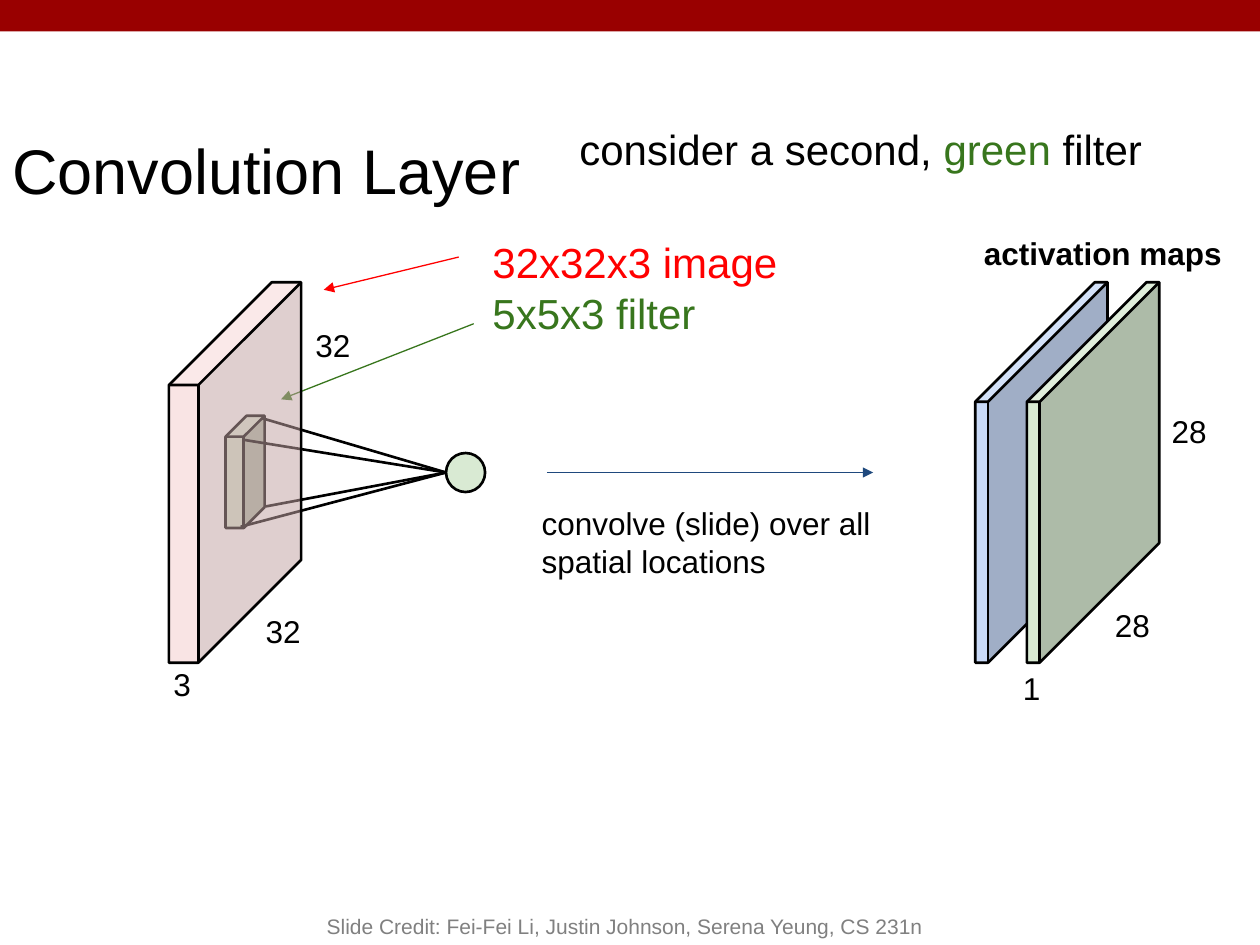
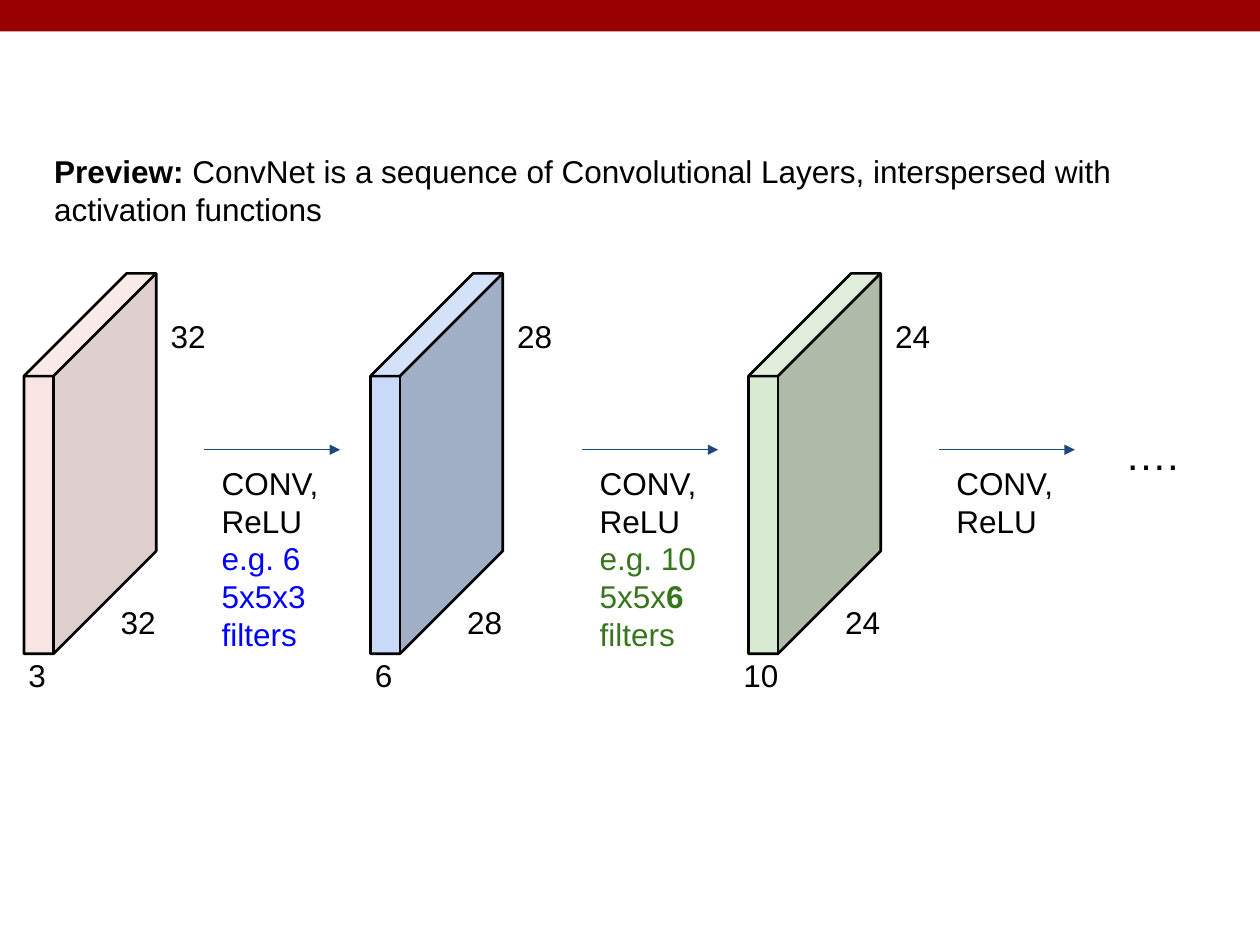
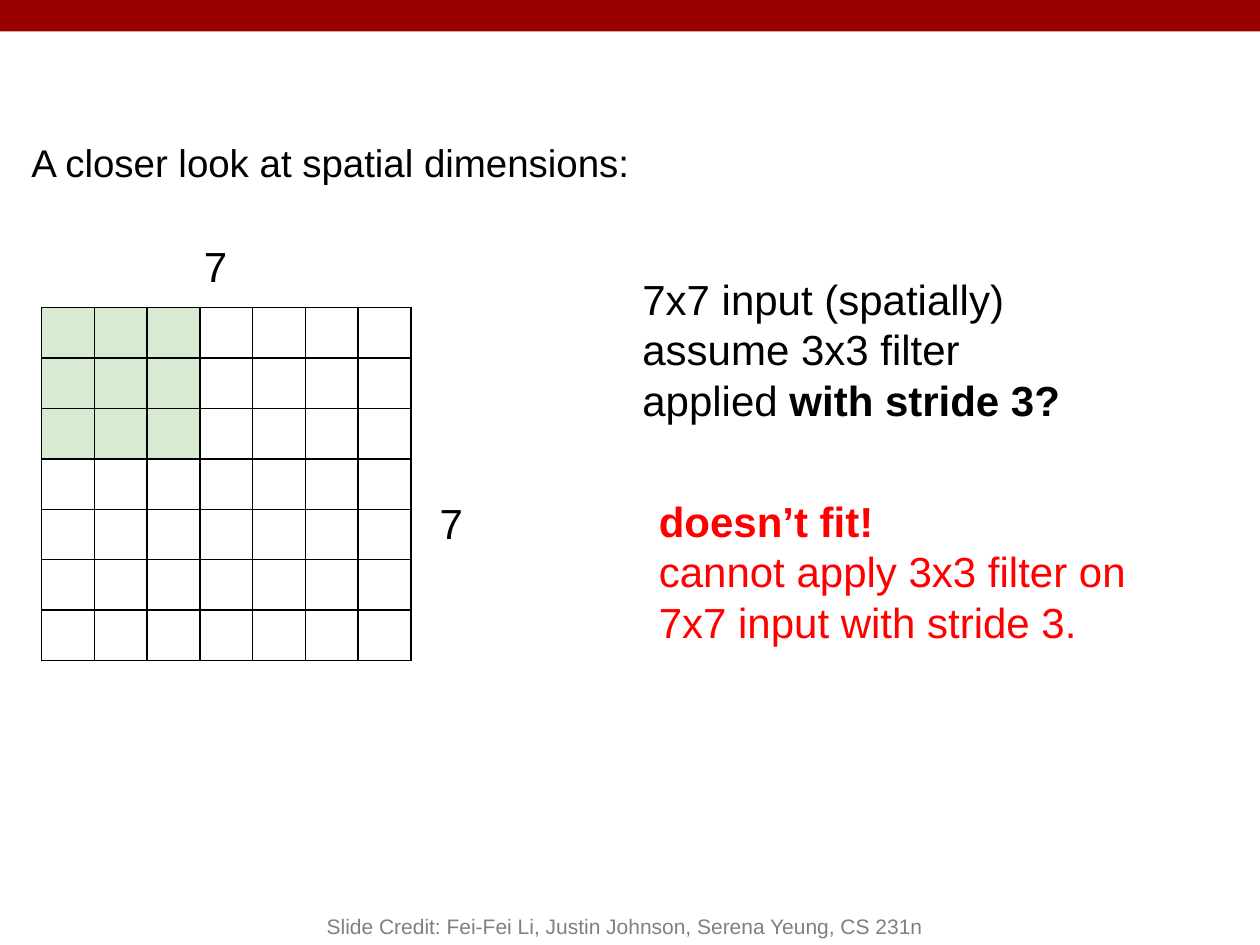
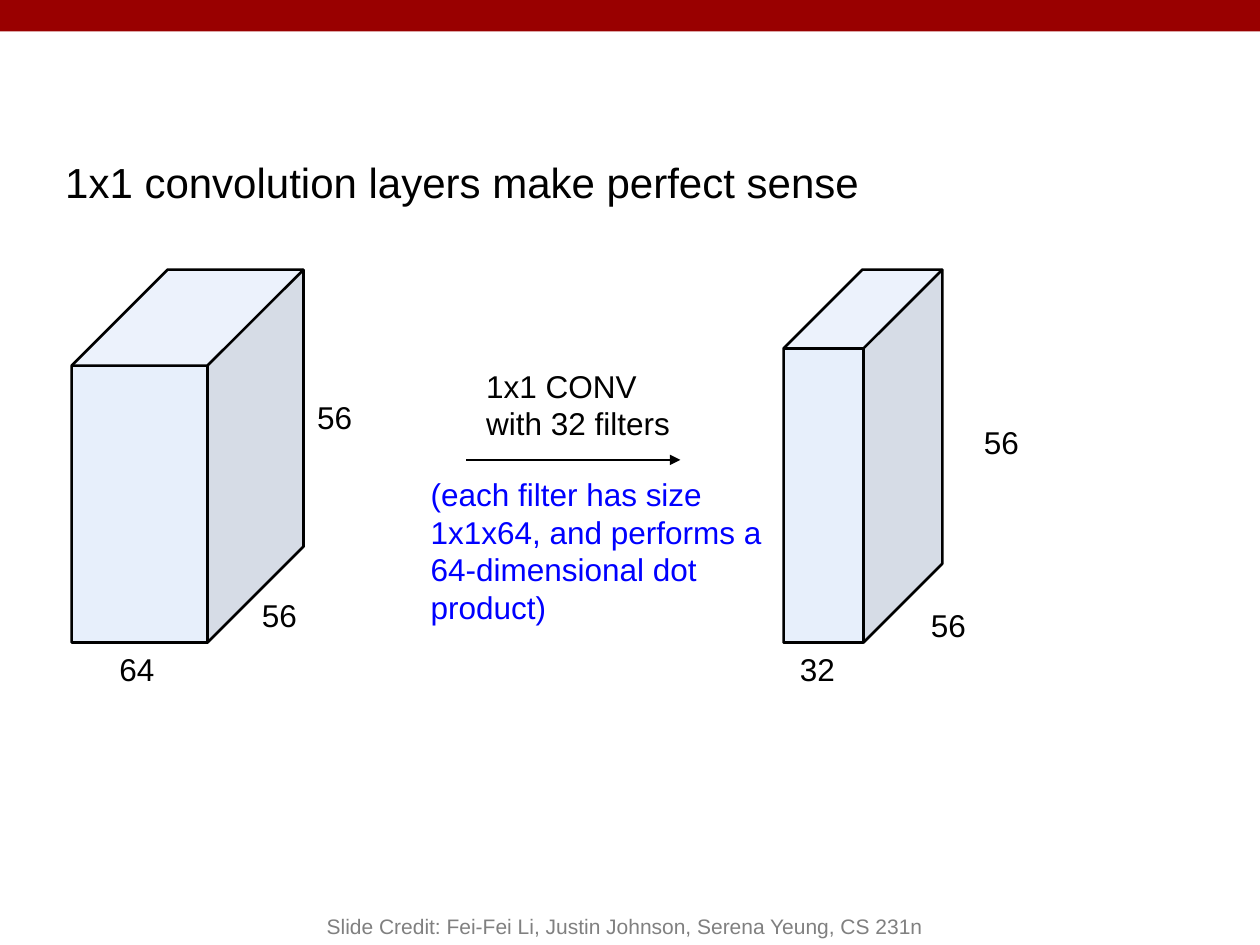
from dataclasses import dataclass

from lxml import etree
from pptx import Presentation
from pptx.dml.color import RGBColor
from pptx.enum.shapes import MSO_CONNECTOR, MSO_SHAPE
from pptx.enum.text import MSO_ANCHOR, PP_ALIGN
from pptx.oxml.ns import qn
from pptx.util import Pt

CUBE = MSO_SHAPE.CUBE
OVAL = MSO_SHAPE.OVAL
RECTANGLE = MSO_SHAPE.RECTANGLE
STRAIGHT = MSO_CONNECTOR.STRAIGHT
TOP = MSO_ANCHOR.TOP
BOTTOM = MSO_ANCHOR.BOTTOM
LEFT = PP_ALIGN.LEFT
CENTER = PP_ALIGN.CENTER


@dataclass(frozen=True)
class Theme:
    font: str = "Arial"
    band: str = "990000"
    black: str = "000000"
    white: str = "FFFFFF"
    gray: str = "808080"
    red: str = "FF0000"
    green: str = "38761D"
    blue: str = "0000FF"
    arrow: str = "1F497D"
    pink_fill: str = "F4CCCC"
    blue_fill: str = "C9DAF8"
    green_fill: str = "D9EAD3"
    title_size: float = 36
    large_size: float = 24
    heading_size: float = 22
    body_size: float = 18
    credit_size: float = 12
    outline: float = 1.5
    thin: float = 0.75
    grid: float = 1


@dataclass(frozen=True)
class Span:
    """A stretch of text that differs from its paragraph."""
    text: str
    color: str = ""
    bold: bool = False


THEME = Theme()
SLIDE_WIDTH, SLIDE_HEIGHT = 720, 540
BAND_HEIGHT = 18
INSET = 7.2
LABEL_WIDTH, LABEL_HEIGHT = 38.9, 24
VOLUME_WIDTH, VOLUME_HEIGHT = 75.6, 217.4
VOLUME_TOP = 156.2
BLOCK_TOP, BLOCK_HEIGHT = 154.1, 213.1
CREDIT = "Slide Credit: Fei-Fei Li, Justin Johnson, Serena Yeung, CS 231n"


def rgb(color):
    return RGBColor.from_string(color)


def add_text(slide, left, top, width, height, paragraphs, size=THEME.body_size,
             color=THEME.black, bold=False, align=LEFT, anchor=TOP, inset=INSET):
    """Add a text box; each paragraph is a string or a list of strings and Spans."""
    box = slide.shapes.add_textbox(Pt(left), Pt(top), Pt(width), Pt(height))
    frame = box.text_frame
    frame.word_wrap = True
    frame.vertical_anchor = anchor
    frame.margin_left = frame.margin_right = Pt(INSET)
    frame.margin_top = frame.margin_bottom = Pt(inset)
    for index, content in enumerate(paragraphs):
        paragraph = frame.paragraphs[0] if index == 0 else frame.add_paragraph()
        paragraph.alignment = align
        font = paragraph.font
        font.name, font.size, font.bold = THEME.font, Pt(size), bold
        font.color.rgb = rgb(color)
        for part in [content] if isinstance(content, (str, Span)) else content:
            span = part if isinstance(part, Span) else Span(part)
            run = paragraph.add_run()
            run.text = span.text
            if span.color:
                run.font.color.rgb = rgb(span.color)
            if span.bold:
                run.font.bold = True


def add_label(slide, left, top, text, width=LABEL_WIDTH):
    add_text(slide, left, top, width, LABEL_HEIGHT, [text])


def add_credit(slide):
    add_text(slide, 144, 504, 426.2, 36, [CREDIT], THEME.credit_size, THEME.gray,
             align=CENTER, anchor=BOTTOM, inset=3.6)


def add_solid(slide, kind, left, top, width, height, fill, opacity=100):
    """Add an outlined preset shape, see-through when opacity is below 100 percent."""
    shape = slide.shapes.add_shape(kind, Pt(left), Pt(top), Pt(width), Pt(height))
    shape.shadow.inherit = False
    shape.fill.solid()
    shape.fill.fore_color.rgb = rgb(fill)
    shape.line.color.rgb = rgb(THEME.black)
    shape.line.width = Pt(THEME.outline)
    if opacity < 100:
        color = shape.element.xpath("./p:spPr/a:solidFill/a:srgbClr")[0]
        etree.SubElement(color, qn("a:alpha"), val=str(opacity * 1000))
    return shape


def add_cube(slide, left, top, width, height, depth, fill, opacity=100):
    cube = add_solid(slide, CUBE, left, top, width, height, fill, opacity)
    cube.adjustments[0] = depth


def add_volume(slide, left, top, side, channels, fill, opacity=100, channel_shift=-4.5):
    """Add a layer's cube with its two side lengths and its channel count."""
    add_cube(slide, left, top, VOLUME_WIDTH, VOLUME_HEIGHT, 0.777, fill, opacity)
    add_label(slide, left + 48.2, top + 181, side)
    add_label(slide, left + 76.7, top + 18, side)
    add_label(slide, left + channel_shift, top + 211.7, channels)


def add_line(slide, start, end, color=THEME.black, width=THEME.outline):
    line = slide.shapes.add_connector(STRAIGHT, *(Pt(value) for value in (*start, *end)))
    line.line.color.rgb = rgb(color)
    line.line.width = Pt(width)
    etree.SubElement(line.element.spPr, qn("a:effectLst"))
    return line


def add_arrow(slide, start, end, color=THEME.arrow):
    arrow = add_line(slide, start, end, color, THEME.thin)
    outline = arrow.element.spPr.find(qn("a:ln"))
    etree.SubElement(outline, qn("a:tailEnd"), type="triangle")


def set_borders(cell):
    properties = cell._tc.get_or_add_tcPr()
    for side in ("lnL", "lnR", "lnT", "lnB"):
        border = etree.SubElement(properties, qn(f"a:{side}"), w=str(Pt(THEME.grid)))
        fill = etree.SubElement(border, qn("a:solidFill"))
        etree.SubElement(fill, qn("a:srgbClr"), val=THEME.black)


def add_input_grid(slide, left, top, count, filter_count):
    """Add a square grid of cells with the filter's area tinted in its corner."""
    column_width, row_height = 30.14, 27.86
    frame = slide.shapes.add_table(count, count, Pt(left), Pt(top),
                                   Pt(count * column_width), Pt(count * row_height))
    table = frame.table
    table.first_row = table.horz_banding = False
    for column in table.columns:
        column.width = Pt(column_width)
    for row_index, row in enumerate(table.rows):
        row.height = Pt(row_height)
        for column_index, cell in enumerate(row.cells):
            set_borders(cell)
            covered = max(row_index, column_index) < filter_count
            cell.fill.solid()
            cell.fill.fore_color.rgb = rgb(THEME.green_fill if covered else THEME.white)


def add_master_band(presentation, slide):
    """Draw the top band on a slide, then move it to the master behind everything."""
    band = slide.shapes.add_shape(RECTANGLE, 0, 0, Pt(SLIDE_WIDTH), Pt(BAND_HEIGHT))
    band.shadow.inherit = False
    band.fill.solid()
    band.fill.fore_color.rgb = rgb(THEME.band)
    band.line.fill.background()
    band.element.xpath("./p:nvSpPr/p:cNvPr")[0].set("id", "100")
    presentation.slide_master.shapes.element.insert(2, band.element)


def build_second_filter(slide):
    neuron_left, neuron_size, middle = 254.9, 22.3, 270
    map_top = 161.3
    add_cube(slide, 557.3, map_top, VOLUME_WIDTH, VOLUME_HEIGHT, 0.904, THEME.blue_fill)
    add_cube(slide, 128.9, 237.6, 22.3, 64.1, 0.534, THEME.green_fill)
    add_solid(slide, OVAL, neuron_left, middle - neuron_size / 2,
              neuron_size, neuron_size, THEME.green_fill)
    for corner in ((137.5, 301), (139, 251.3), (149.8, 239), (151.9, 289.4)):
        add_line(slide, corner, (neuron_left, middle))
    add_text(slide, 274.3, 128.2, 286.6, 43.2,
             [Span("32x32x3 image", THEME.red), Span("5x5x3 filter", THEME.green)],
             THEME.large_size)
    add_arrow(slide, (262.1, 146.9), (185, 165.6), THEME.red)
    add_arrow(slide, (270.7, 185), (160.6, 228.2), THEME.green)
    add_arrow(slide, (312.5, middle), (499, middle))
    add_text(slide, 302.4, 280.8, 257.8, 64.1,
             ["convolve (slide) over all spatial locations"])
    add_cube(slide, 586.8, map_top, VOLUME_WIDTH, VOLUME_HEIGHT, 0.904, THEME.green_fill)
    add_text(slide, 555.1, 126.7, 162.7, 42.5, ["activation maps"], bold=True)
    add_label(slide, 577.4, 375.1, "1", 26)
    add_label(slide, 630, 339.1, "28")
    add_label(slide, 662.4, 228.2, "28")
    add_volume(slide, 96.5, map_top, "32", "3", THEME.pink_fill, 52)
    add_text(slide, 324, 63.4, 398.9, 22.3,
             [["consider a second, ", Span("green ", THEME.green), "filter"]],
             THEME.large_size)
    add_credit(slide)
    add_text(slide, 0, 67.7, 606.2, 51.8, ["Convolution Layer"], THEME.title_size)


def build_layer_sequence(slide):
    add_text(slide, 23.8, 79.9, 673.2, 77.8, [[
        Span("Preview: ", bold=True),
        "ConvNet is a sequence of Convolutional Layers, "
        "interspersed with activation functions"]])
    add_volume(slide, 13.7, VOLUME_TOP, "32", "3", THEME.pink_fill, 52)
    add_volume(slide, 211.7, VOLUME_TOP, "28", "6", THEME.blue_fill)
    add_volume(slide, 427.7, VOLUME_TOP, "24", "10", THEME.green_fill, channel_shift=-10)
    steps = (
        (116.6, [Span("e.g. 6 5x5x3 filters", THEME.blue)]),
        (332.6, [[Span("e.g. 10 5x5x", THEME.green), Span("6 ", THEME.green, True),
                  Span("filters", THEME.green)]]),
        (536.4, []),
    )
    for left, example in steps:
        add_arrow(slide, (left, 257), (left + 77.8, 257))
        add_text(slide, left + 3, 257.8, 80, 31, ["CONV,", "ReLU", *example])
    add_text(slide, 635.8, 237.6, 75.6, 28.1, ["…."], THEME.large_size)


def build_spatial_dimensions(slide):
    add_text(slide, 360, 149, 403.2, 144.7,
             ["7x7 input (spatially)", "assume 3x3 filter",
              ["applied ", Span("with stride 3?", bold=True)]], THEME.large_size)
    add_text(slide, 109.4, 130.3, 43.2, 36, ["7"], THEME.large_size)
    add_text(slide, 244.1, 277.2, 46.1, 22.3, ["7"], THEME.large_size)
    add_text(slide, 10.8, 72, 659.5, 47.5,
             ["A closer look at spatial dimensions:"], THEME.heading_size)
    add_input_grid(slide, 23.8, 175.7, 7, 3)
    add_text(slide, 369.4, 275.8, 312.5, 95.8,
             [Span("doesn’t fit!", bold=True),
              "cannot apply 3x3 filter on 7x7 input with stride 3."],
             THEME.large_size, THEME.red)
    add_credit(slide)


def build_one_by_one_convolution(slide):
    add_text(slide, 30.2, 82.1, 669.6, 74.9,
             ["1x1 convolution layers make perfect sense"], THEME.large_size)
    for left, width, depth in ((41, 132.5, 0.414), (447.8, 90.7, 0.497)):
        add_cube(slide, left, BLOCK_TOP, width, BLOCK_HEIGHT, depth, THEME.blue_fill, 43)
    labels = (
        (61.2, 364.3, "64"), (142.6, 333.4, "56"), (174.2, 220.3, "56"),
        (450, 364.3, "32"), (524.9, 339.1, "56"), (555.1, 234.7, "56"),
    )
    for left, top, text in labels:
        add_label(slide, left, top, text)
    add_arrow(slide, (266.4, 262.8), (388.8, 262.8), THEME.black)
    add_text(slide, 270.7, 202.3, 140.4, 33.8, ["1x1 CONV", "with 32 filters"])
    add_text(slide, 239, 264.2, 224.6, 48.2,
             ["(each filter has size 1x1x64, and performs a 64-dimensional dot product)"],
             color=THEME.blue)
    add_credit(slide)


def main():
    presentation = Presentation()
    presentation.slide_width = Pt(SLIDE_WIDTH)
    presentation.slide_height = Pt(SLIDE_HEIGHT)
    blank_layout = presentation.slide_layouts[6]
    builders = (build_second_filter, build_layer_sequence,
                build_spatial_dimensions, build_one_by_one_convolution)
    slides = [presentation.slides.add_slide(blank_layout) for _ in builders]
    add_master_band(presentation, slides[0])
    for build, slide in zip(builders, slides):
        build(slide)
    presentation.save("out.pptx")


if __name__ == "__main__":
    main()
